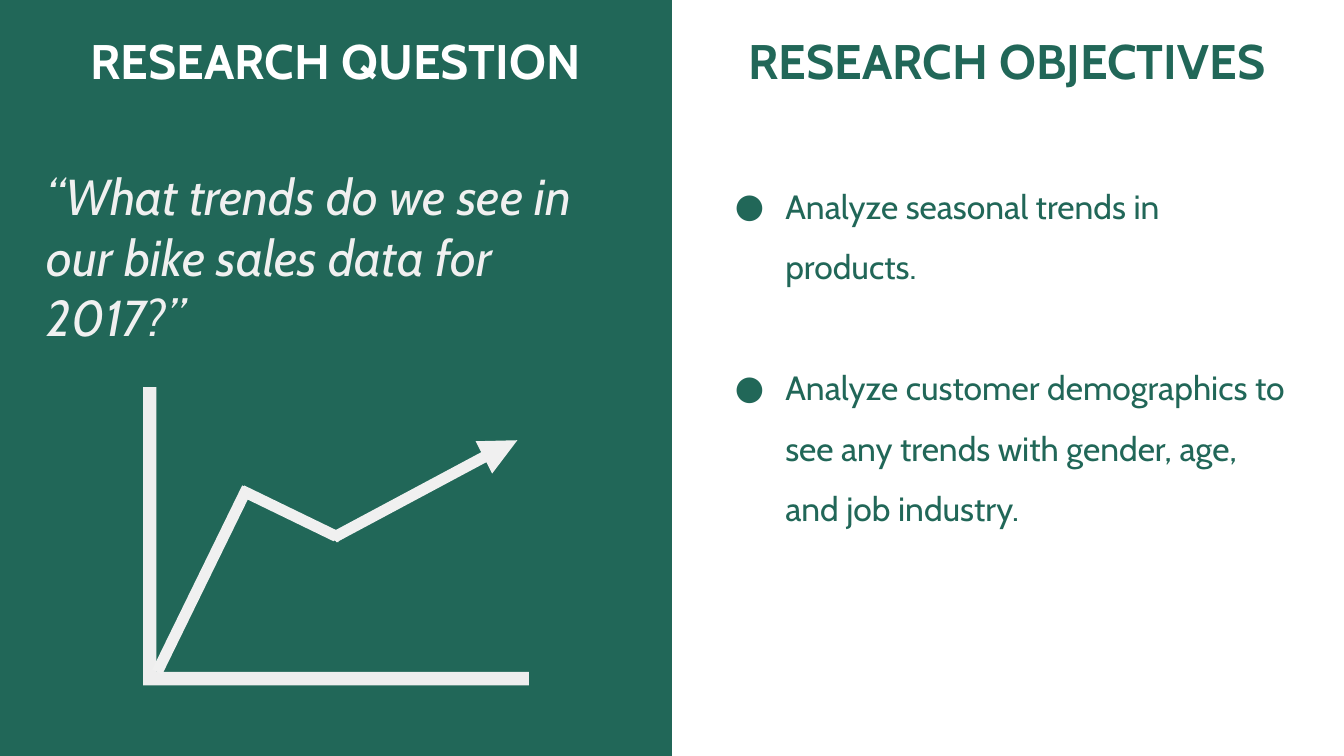
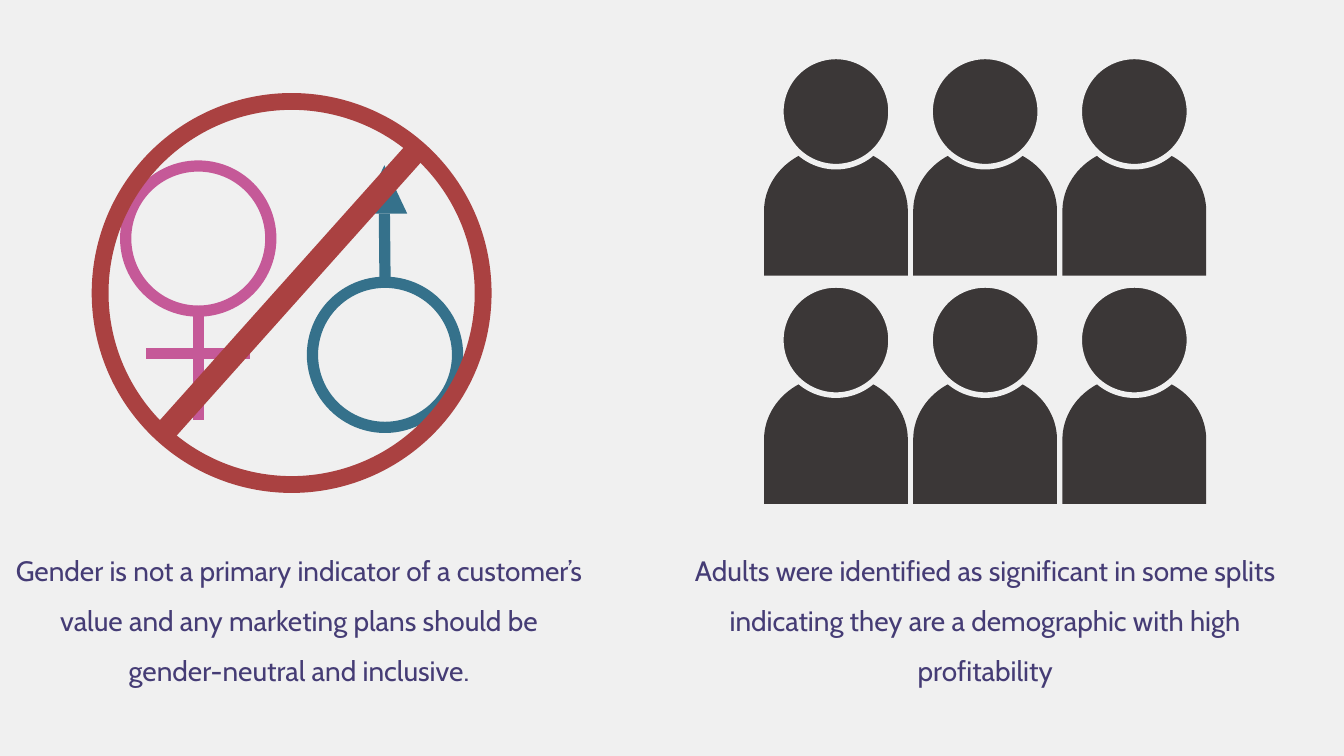
"""Build two slides on bike sales research and customer findings."""
from itertools import product

from lxml.etree import SubElement
from pptx import Presentation
from pptx.dml.color import RGBColor
from pptx.enum.shapes import MSO_CONNECTOR, MSO_SHAPE as SHAPE
from pptx.enum.text import MSO_ANCHOR, MSO_AUTO_SIZE, PP_ALIGN as ALIGN
from pptx.oxml.ns import qn
from pptx.util import Pt

EMU_PER_PX = 4572
WIDTH, HEIGHT = 2000, 1125
TITLE_ONLY, BLANK = 5, 6
FONT = "Cabin"
COLORS = {
    "white": "FFFFFF", "green": "216758", "pale": "F0F0F0", "axis": "EEEEEE",
    "pink": "C55998", "blue": "35718B", "red": "AA4141", "dark": "3B3737",
    "purple": "453C75",
}


def px(n):
    return n * EMU_PER_PX


def rgb(name):
    return RGBColor.from_string(COLORS[name])


class Deck:
    def __init__(self):
        self.prs = Presentation()
        self.prs.slide_width, self.prs.slide_height = px(WIDTH), px(HEIGHT)

    def new_slide(self, layout, background):
        self.slide = self.prs.slides.add_slide(self.prs.slide_layouts[layout])
        fill = self.slide.background.fill
        fill.solid()
        fill.fore_color.rgb = rgb(background)
        self.ungroup()

    def group(self):
        self.shapes = self.slide.shapes.add_group_shape().shapes

    def ungroup(self):
        self.shapes = self.slide.shapes

    def shape(self, kind, box, fill=None, line=None, width=6, rot=0):
        sp = self.shapes.add_shape(kind, *map(px, box))
        sp.shadow.inherit = False
        sp.rotation = rot
        if fill:
            sp.fill.solid()
            sp.fill.fore_color.rgb = rgb(fill)
        else:
            sp.fill.background()
        if line:
            sp.line.color.rgb = rgb(line)
            sp.line.width = Pt(width)
        else:
            sp.line.fill.background()

    def line(self, start, end, color, width=6):
        c = self.shapes.add_connector(
            MSO_CONNECTOR.STRAIGHT, *map(px, start + end))
        c.line.color.rgb = rgb(color)
        c.line.width = Pt(width)
        SubElement(c._element.spPr, qn("a:effectLst"))

    def frame(self, sp):
        tf = sp.text_frame
        tf.word_wrap = True
        tf.auto_size = MSO_AUTO_SIZE.NONE
        tf.vertical_anchor = MSO_ANCHOR.TOP
        tf.margin_left = tf.margin_right = px(20)
        tf.margin_top = tf.margin_bottom = px(20)
        return tf

    def textbox(self, box):
        return self.frame(self.slide.shapes.add_textbox(*map(px, box)))

    def run(self, p, text, size, color, bold=False, italic=False):
        r = p.add_run()
        r.text = text
        r.font.name, r.font.size = FONT, Pt(size)
        r.font.bold, r.font.italic = bold, italic
        r.font.color.rgb = rgb(color)

    def heading(self, tf, text, color):
        p = tf.paragraphs[0]
        p.alignment = ALIGN.CENTER
        self.run(p, text, 26, color, bold=True)

    def title(self, text, box, color):
        sp = self.slide.shapes.title
        sp.left, sp.top, sp.width, sp.height = map(px, box)
        self.slide.shapes._spTree.append(sp._element)
        self.heading(self.frame(sp), text, color)

    def subtitle(self, text, box, color):
        self.heading(self.textbox(box), text, color)

    def quote(self, text, box, color):
        p = self.textbox(box).paragraphs[0]
        self.run(p, text, 27, color, italic=True)

    def bullets(self, items, box, color):
        tf = self.textbox(box)
        for i, text in enumerate(items):
            p = tf.add_paragraph() if i else tf.paragraphs[0]
            pPr = p._p.get_or_add_pPr()
            pPr.set("marL", str(px(100)))
            pPr.set("indent", str(px(-75)))
            clr = SubElement(pPr, qn("a:buClr"))
            SubElement(clr, qn("a:srgbClr"), val=COLORS[color])
            SubElement(pPr, qn("a:buFont"), typeface=FONT)
            SubElement(pPr, qn("a:buChar"), char="●")
            p.line_spacing = 1.5
            if i:
                p.space_before = Pt(32.5)
            self.run(p, text, 18, color)

    def caption(self, text, box):
        p = self.textbox(box).paragraphs[0]
        p.alignment = ALIGN.CENTER
        p.line_spacing = 1.5
        p.space_after = Pt(12)
        self.run(p, text, 15, "purple")

    def person(self, x, y):
        self.group()
        self.shape(SHAPE.FLOWCHART_DELAY, (x, y + 123, 192, 214), "dark",
                   rot=270)
        self.shape(SHAPE.OVAL, (x + 14, y, 164, 164), "dark", "pale", 3)
        self.ungroup()


def research_slide(deck):
    deck.new_slide(TITLE_ONLY, "white")
    deck.shape(SHAPE.RECTANGLE, (0, 0, WIDTH // 2, HEIGHT), "green")
    deck.quote("“What trends do we see in our bike sales data for 2017?”",
               (50, 226, 900, 404), "pale")

    deck.shape(SHAPE.RECTANGLE, (213, 576, 20, 424), "axis")
    deck.shape(SHAPE.RECTANGLE, (490, 723, 20, 574), "axis", rot=90)
    for start, end in [((234, 1000), (368, 726)), ((500, 798), (360, 730)),
                       ((732, 674), (500, 798))]:
        deck.line(start, end, "pale")
    for kind, box, rot in [
            (SHAPE.ISOSCELES_TRIANGLE, (498, 794, 12, 10), 336.4),
            (SHAPE.ISOSCELES_TRIANGLE, (492, 794, 12, 10), 26.9),
            (SHAPE.RECTANGLE, (496, 794, 8, 10), 0),
            (SHAPE.RECTANGLE, (500, 797, 4, 10), 0),
            (SHAPE.ISOSCELES_TRIANGLE, (718, 640, 54, 56), 62.9)]:
        deck.shape(kind, box, "pale", rot=rot)

    deck.subtitle("RESEARCH OBJECTIVES", (1023, 26, 952, 132), "green")
    deck.bullets(["Analyze seasonal trends in products.",
                  "Analyze customer demographics to see any trends with "
                  "gender, age, and job industry."],
                 (1049, 226, 900, 650), "green")
    deck.title("RESEARCH QUESTION", (24, 26, 952, 132), "white")


def findings_slide(deck):
    deck.new_slide(BLANK, "pale")

    deck.group()
    deck.shape(SHAPE.OVAL, (187, 247, 216, 216), line="pink")
    deck.line((295, 463), (295, 625), "pink")
    deck.line((372, 526), (218, 526), "pink")

    deck.group()
    deck.shape(SHAPE.OVAL, (465, 420, 216, 216), line="blue", rot=315)
    deck.line((573, 420), (572, 318), "blue")
    deck.shape(SHAPE.ISOSCELES_TRIANGLE, (538, 246, 68, 72), "blue")
    deck.ungroup()

    deck.caption("Gender is not a primary indicator of a customer’s value and "
                 "any marketing plans should be gender-neutral and inclusive.",
                 (0, 778, 890, 242))

    deck.group()
    deck.shape(SHAPE.OVAL, (149, 151, 570, 570), line="red", width=9)
    deck.shape(SHAPE.RECTANGLE, (414, 146, 34, 578), "red", rot=41.8)
    deck.ungroup()

    for row, col in product(range(2), range(3)):
        deck.person(1148 + col * 222, 84 + row * 340)

    deck.caption("Adults were identified as significant in some splits "
                 "indicating they are a demographic with high profitability",
                 (1008, 778, 916, 242))


def main():
    deck = Deck()
    research_slide(deck)
    findings_slide(deck)
    deck.prs.save("out.pptx")


if __name__ == "__main__":
    main()
